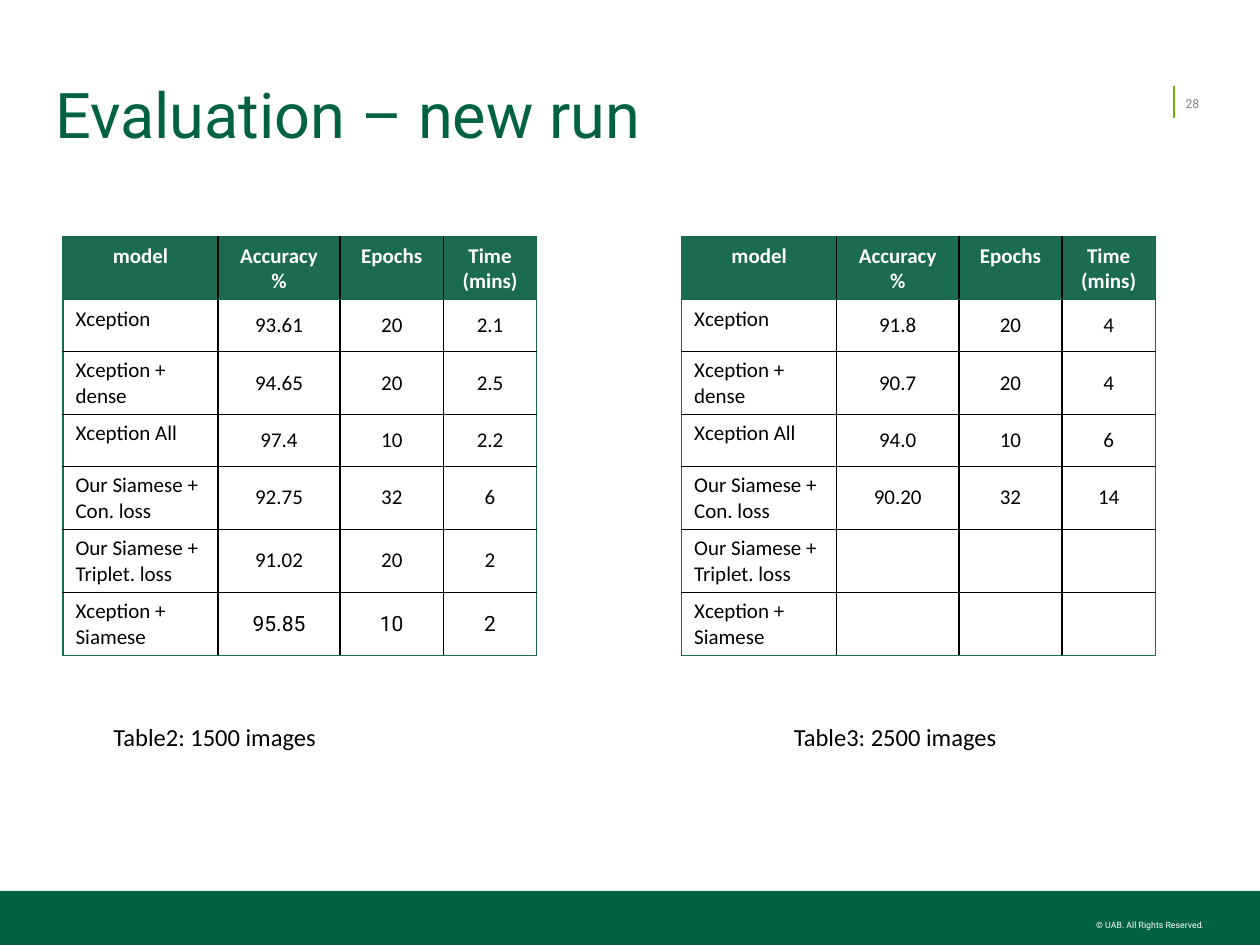
from lxml.etree import SubElement
from pptx import Presentation
from pptx.dml.color import RGBColor
from pptx.enum.shapes import MSO_CONNECTOR, MSO_SHAPE
from pptx.enum.text import MSO_ANCHOR, PP_ALIGN
from pptx.oxml.ns import qn
from pptx.util import Inches, Pt

GREEN, TABLE_GREEN, LIME = "006241", "1B6B50", "70B207"
BLACK, WHITE, GRAY = "000000", "FFFFFF", "808080"
HEADERS = ["model", "Accuracy %", "Epochs", "Time (mins)"]
MODELS = ["Xception", "Xception + dense", "Xception All", "Our Siamese + Con. loss",
          "Our Siamese + Triplet. loss", "Xception + Siamese"]
TABLES = [
    {"left": 0.5, "caption": "Table2: 1500 images", "caption_left": 0.85, "last_font": "Roboto",
     "results": [("93.61", "20", "2.1"), ("94.65", "20", "2.5"), ("97.4", "10", "2.2"),
                 ("92.75", "32", "6"), ("91.02", "20", "2"), ("95.85", "10", "2")]},
    {"left": 5.41, "caption": "Table3: 2500 images", "caption_left": 6.25, "last_font": "Calibri",
     "results": [("91.8", "20", "4"), ("90.7", "20", "4"), ("94.0", "10", "6"),
                 ("90.20", "32", "14"), ("", "", ""), ("", "", "")]},
]
TABLE_TOP, CAPTION_TOP = 1.88, 5.68
COLUMNS = [1.23, 0.97, 0.82, 0.74]
SINGLE_ROW, DOUBLE_ROW = 0.41, 0.5


def color(value):
    return RGBColor.from_string(value)


def write(frame, text, size, font, ink, align=PP_ALIGN.LEFT, bold=False):
    frame.text = text
    para = frame.paragraphs[0]
    para.alignment = align
    for span in para.runs:
        span.font.size, span.font.name, span.font.bold = Pt(size), font, bold
        span.font.color.rgb = color(ink)
    return para


def set_inset(frame, inset):
    frame.margin_left = frame.margin_right = Inches(inset)
    frame.margin_top = frame.margin_bottom = Inches(inset)


def add_text(page, area, text, size, font, ink, inset=0, wrap=False, **style):
    box = page.shapes.add_textbox(*map(Inches, area))
    box.text_frame.word_wrap = wrap
    set_inset(box.text_frame, inset)
    write(box.text_frame, text, size, font, ink, **style)
    return box


def set_borders(cell, edges):
    properties = cell._tc.get_or_add_tcPr()
    for side, ink in edges.items():
        width = Pt(1) if ink == BLACK else Pt(0.75)
        line = SubElement(properties, qn("a:ln" + side), w=str(int(width)))
        fill = SubElement(line, qn("a:solidFill"))
        SubElement(fill, qn("a:srgbClr"), val=ink)


def add_results(page, data):
    rows = [HEADERS] + [[model, *values] for model, values in zip(MODELS, data["results"])]
    heights = [SINGLE_ROW if row[0] in ("Xception", "Xception All") else DOUBLE_ROW for row in rows]
    area = (data["left"], TABLE_TOP, sum(COLUMNS), sum(heights))
    table = page.shapes.add_table(len(rows), len(COLUMNS), *map(Inches, area)).table
    for column, width in zip(table.columns, COLUMNS):
        column.width = Inches(width)
    last_row, last_column = len(rows) - 1, len(COLUMNS) - 1
    for r, row in enumerate(rows):
        table.rows[r].height = Inches(heights[r])
        for c, text in enumerate(row):
            cell = table.cell(r, c)
            header, value = r == 0, r > 0 and c > 0
            set_borders(cell, {
                "L": TABLE_GREEN if c == 0 else BLACK,
                "R": TABLE_GREEN if c == last_column else BLACK,
                "T": TABLE_GREEN if r < 2 else BLACK,
                "B": TABLE_GREEN if r in (0, last_row) else BLACK,
            })
            if header:
                cell.fill.solid()
                cell.fill.fore_color.rgb = color(TABLE_GREEN)
            else:
                cell.fill.background()
            cell.vertical_anchor = MSO_ANCHOR.MIDDLE if value else MSO_ANCHOR.TOP
            font = data["last_font"] if value and r == last_row else "Calibri"
            write(cell.text_frame, text, 12, font, WHITE if header else BLACK,
                  PP_ALIGN.CENTER if header or value else PP_ALIGN.LEFT, header)


def main():
    deck = Presentation()
    deck.slide_width, deck.slide_height = Inches(10), Inches(7.5)
    page = deck.slides.add_slide(deck.slide_layouts[5])

    rule = page.shapes.add_connector(MSO_CONNECTOR.STRAIGHT, *map(Inches, (9.32, 0.68, 9.32, 0.94)))
    rule.line.color.rgb, rule.line.width = color(LIME), Pt(1)
    SubElement(rule._element.spPr, qn("a:effectLst"))

    footer = page.shapes.add_shape(MSO_SHAPE.RECTANGLE, *map(Inches, (0, 7.07, 10, 0.43)))
    footer.shadow.inherit = False
    footer.fill.solid()
    footer.fill.fore_color.rgb = color(GREEN)
    footer.line.fill.background()
    add_text(page, (8.7, 7.3, 0.86, 0.14), "© UAB. All Rights Reserved.", 5, "Roboto", WHITE,
             align=PP_ALIGN.RIGHT)

    title = page.shapes.title
    title.left, title.top, title.width, title.height = map(Inches, (0.44, 0.52, 8.72, 0.84))
    set_inset(title.text_frame, 0)
    title.text_frame.vertical_anchor = MSO_ANCHOR.MIDDLE
    write(title.text_frame, "Evaluation – new run", 36, "Roboto", GREEN).line_spacing = 0.9

    number = add_text(page, (9.41, 0.75, 0.14, 0.14), "28", 7, "Roboto", GRAY)
    number.text_frame.vertical_anchor = MSO_ANCHOR.MIDDLE

    for data in TABLES:
        add_results(page, data)
        add_text(page, (data["caption_left"], CAPTION_TOP, 2.5, 0.34), data["caption"], 14,
                 "Calibri", BLACK, inset=0.05, wrap=True)

    deck.save("out.pptx")


if __name__ == "__main__":
    main()
